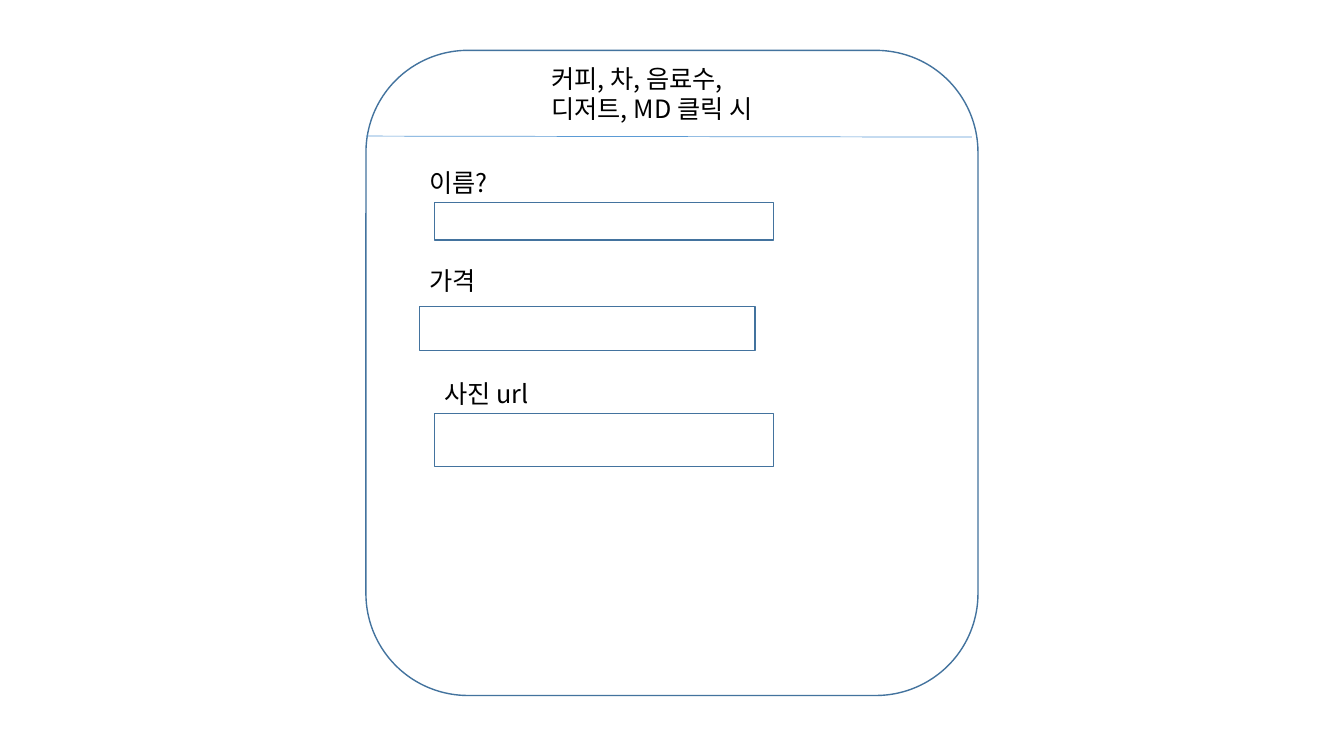
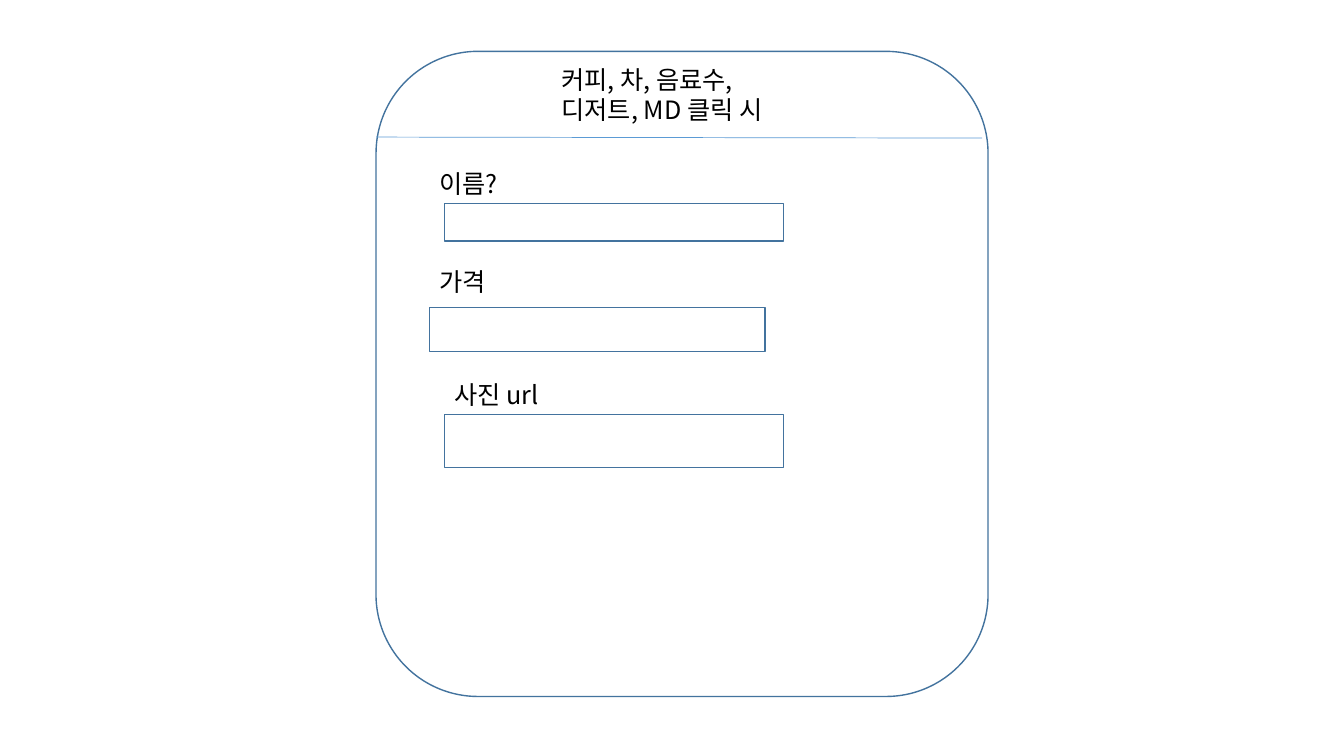
from lxml.etree import SubElement
from pptx import Presentation
from pptx.dml.color import RGBColor
from pptx.enum.shapes import MSO_CONNECTOR as Connector, MSO_SHAPE as Shape
from pptx.enum.text import MSO_AUTO_SIZE as AutoSize
from pptx.oxml.ns import qn
from pptx.util import Inches, Pt

COLORS = {"paper": "FFFFFF", "outline": "43739E", "divider": "5B9BD5", "text": "000000"}
FONT = "Noto Sans CJK KR"
TEXT_FORMAT = {"name": FONT, "size": Pt(18)}
FRAME_FORMAT = {"word_wrap": True, "auto_size": AutoSize.SHAPE_TO_FIT_TEXT}

TITLE = "커피, 차, 음료수, 디저트, MD 클릭 시"
FIELDS = [
    ("이름?", (4.16, 1.61, 2.09, 0.4), (4.31, 2.01, 3.36, 0.37)),
    ("가격", (4.16, 2.58, 1.43, 0.4), (4.16, 3.04, 3.33, 0.44)),
    ("사진 url", (4.31, 3.7, 2.9, 0.4), (4.31, 4.1, 3.36, 0.53)),
]
FORM_OFFSETS = [(0, 0), (0.1, 0.01)]


def color(name):
    return RGBColor.from_string(COLORS[name])


def apply_format(target, values):
    for name, value in values.items():
        setattr(target, name, value)


class FormDeck:
    """Draws input forms in one shared style on the current slide."""

    def __init__(self):
        self.presentation = Presentation()
        size = {"slide_width": Inches(13.33), "slide_height": Inches(7.5)}
        apply_format(self.presentation, size)
        self.slide = None
        self.offset = (0, 0)

    def add_slide(self, offset):
        self.slide = self.presentation.slides.add_slide(self.presentation.slide_layouts[6])
        self.offset = offset

    def place(self, left, top):
        return Inches(left + self.offset[0]), Inches(top + self.offset[1])

    def bounds(self, left, top, width, height):
        return *self.place(left, top), Inches(width), Inches(height)

    def box(self, kind, area):
        shape = self.slide.shapes.add_shape(kind, *self.bounds(*area))
        shape.shadow.inherit = False
        shape.fill.solid()
        shape.fill.fore_color.rgb = color("paper")
        shape.line.color.rgb = color("outline")
        shape.line.width = Pt(1)

    def divider(self, start, end):
        connector = self.slide.shapes.add_connector(
            Connector.STRAIGHT, *self.place(*start), *self.place(*end))
        connector.line.color.rgb = color("divider")
        connector.line.width = Pt(0.5)
        SubElement(connector._element.spPr, qn("a:effectLst"))

    def label(self, text, area):
        frame = self.slide.shapes.add_textbox(*self.bounds(*area)).text_frame
        apply_format(frame, FRAME_FORMAT)
        run = frame.paragraphs[0].add_run()
        run.text = text
        apply_format(run.font, TEXT_FORMAT)
        run.font.color.rgb = color("text")
        SubElement(run._r.get_or_add_rPr(), qn("a:ea"), typeface=FONT)

    def form(self):
        self.box(Shape.ROUNDED_RECTANGLE, (3.63, 0.5, 6.07, 6.4))
        self.divider((3.63, 1.35), (9.64, 1.36))
        self.label(TITLE, (5.37, 0.58, 2.52, 0.71))
        for text, label_area, input_area in FIELDS:
            self.label(text, label_area)
            self.box(Shape.RECTANGLE, input_area)


def main():
    deck = FormDeck()
    for offset in FORM_OFFSETS:
        deck.add_slide(offset)
        deck.form()
    deck.presentation.save("out.pptx")


if __name__ == "__main__":
    main()
